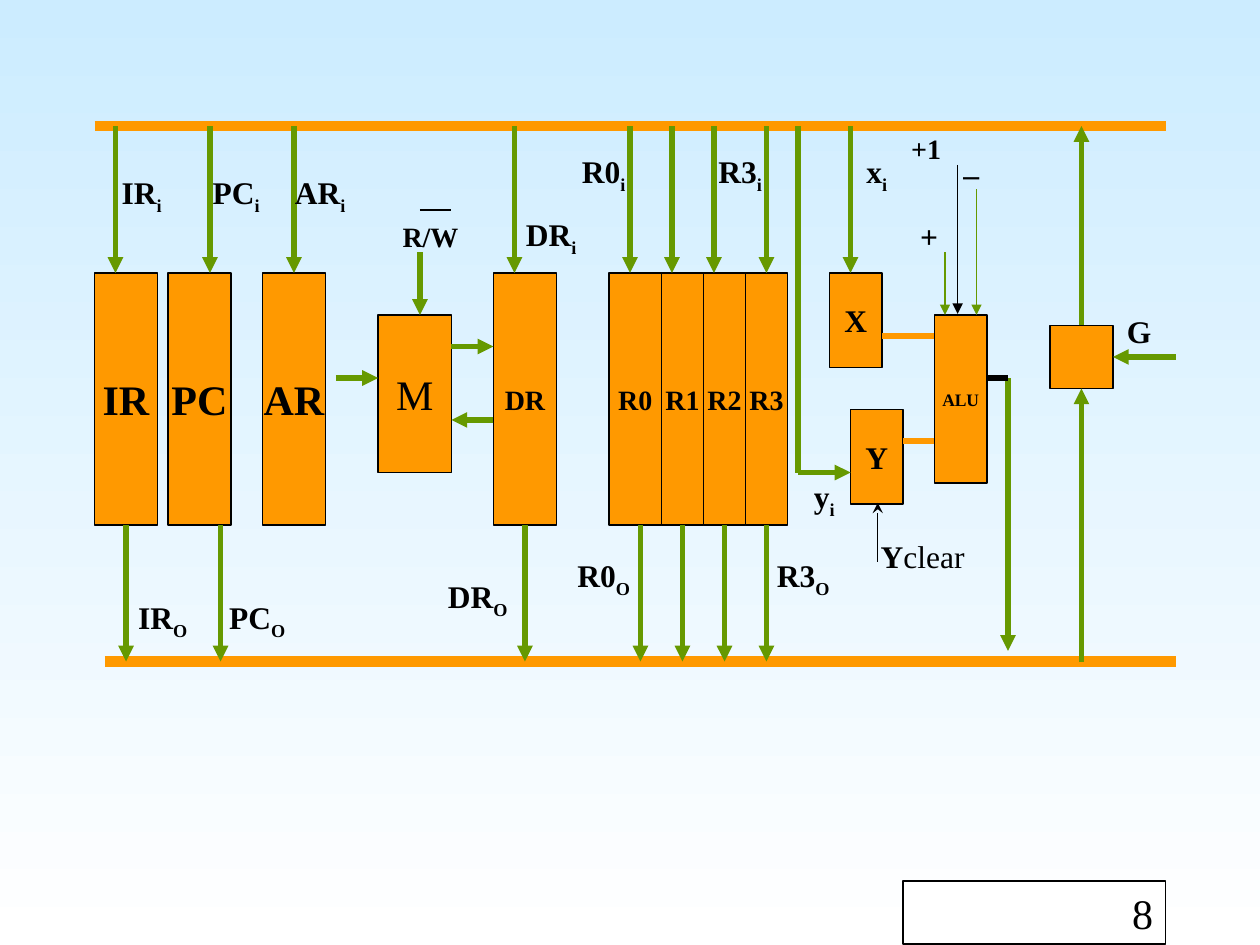
"""Draw a CPU datapath with registers, memory and ALU between two buses."""
from lxml.etree import SubElement
from pptx import Presentation
from pptx.dml.color import RGBColor
from pptx.enum.shapes import MSO_CONNECTOR as CONN, MSO_SHAPE as SHAPE
from pptx.enum.text import MSO_ANCHOR as ANCHOR, PP_ALIGN as ALIGN
from pptx.oxml.ns import qn
from pptx.util import Cm, Pt

ORANGE = RGBColor(0xFF, 0x99, 0x00)
GREEN = RGBColor(0x66, 0x99, 0x00)
BLACK = RGBColor(0x00, 0x00, 0x00)
WHITE = RGBColor(0xFF, 0xFF, 0xFF)
SKY = RGBColor(0xCC, 0xEC, 0xFF)
GRID = 2.54 / 12
IN_TOP, REG_TOP, REG_BOTTOM, OUT_BUS = 12, 26, 50, 63

prs = Presentation()
prs.slide_width, prs.slide_height = Cm(25.4), Cm(19.05)
s = prs.slides.add_slide(prs.slide_layouts[6])
fill = s.background.fill
fill.gradient()
fill.gradient_angle = 270
for stop, color in zip(fill.gradient_stops, (SKY, WHITE)):
    stop.color.rgb = color


def add_line(x1, y1, x2, y2, color=GREEN, width=3, end="triangle"):
    c = s.shapes.add_connector(CONN.STRAIGHT, *[Cm(v * GRID) for v in (x1, y1, x2, y2)])
    c.line.color.rgb = color
    c.line.width = Pt(width)
    if end:
        SubElement(c.line._get_or_add_ln(), qn("a:tailEnd"), type=end)
    SubElement(c._element.spPr, qn("a:effectLst"))


def add_text(sp, runs, size, align=ALIGN.CENTER, anchor=ANCHOR.MIDDLE, wrap=False):
    tf = sp.text_frame
    tf.word_wrap = wrap
    tf.vertical_anchor = anchor
    if not wrap:
        tf.margin_left = tf.margin_right = Cm(0)
    p = tf.paragraphs[0]
    p.alignment = align
    for text, bold, baseline in runs:
        r = p.add_run()
        r.text = text
        r.font.name = "Times New Roman"
        r.font.size = Pt(size)
        r.font.bold = bold
        r.font.color.rgb = BLACK
        if baseline:
            r._r.get_or_add_rPr().set("baseline", str(baseline))


add_line(9, IN_TOP, 111, IN_TOP, ORANGE, 6, None)
add_line(10, OUT_BUS, 112, OUT_BUS, ORANGE, 6, None)

boxes = [
    ("IR", 9, 26, 6, 24, 24), ("PC", 16, 26, 6, 24, 24), ("AR", 25, 26, 6, 24, 24),
    ("M", 36, 30, 7, 15, 24), ("DR", 47, 26, 6, 24, 16),
    ("R0", 58, 26, 5, 24, 16), ("R1", 63, 26, 4, 24, 16),
    ("R2", 67, 26, 4, 24, 16), ("R3", 71, 26, 4, 24, 16),
    ("X", 79, 26, 5, 9, 18), ("Y", 81, 39, 5, 9, 18), ("ALU", 89, 30, 5, 16, 10),
    ("", 100, 31, 6, 6, 18), ("8", 86, 83.9, 25, 6, 24),
]
for name, x, y, w, h, size in boxes:
    sp = s.shapes.add_shape(SHAPE.RECTANGLE, *[Cm(v * GRID) for v in (x, y, w, h)])
    sp.shadow.inherit = False
    sp.fill.solid()
    sp.fill.fore_color.rgb = WHITE if name == "8" else ORANGE
    sp.line.color.rgb = BLACK
    sp.line.width = Pt(0.75)
    if name == "8":
        add_text(sp, [(name, False, 0)], size, ALIGN.RIGHT, ANCHOR.TOP, True)
    elif name:
        add_text(sp, [(name, name != "M", 0)], size)

for x in (11, 20, 28, 49, 60, 64, 68, 73, 81):
    add_line(x, IN_TOP, x, REG_TOP)
for x in (12, 21, 50, 61, 65, 69, 73):
    add_line(x, REG_BOTTOM, x, OUT_BUS)

for ends in [
    (32, 36, 36, 36), (40, 24, 40, 30), (43, 33, 47, 33), (47, 40, 43, 40),
    (76, 45, 81, 45), (96, 36, 96, 62), (112, 34, 106, 34),
    (103, 63, 103, 37), (103, 31, 103, 12),
]:
    add_line(*ends)
add_line(76, IN_TOP, 76, 45, end=None)
add_line(94, 36, 96, 36, BLACK, end=None)
add_line(40, 20, 43, 20, BLACK, 1.5, None)
for x, y in ((84, 32), (86, 42)):
    add_line(x, y, 89, y, ORANGE, end=None)
for x, y in ((90, 24), (93, 18)):
    add_line(x, y, x, 30, width=0.75)
add_line(91.2, 15.7, 91.2, 29.9, BLACK, 0.75)
add_line(83.6, 53.5, 83.6, 47.9, BLACK, 0.75, "stealth")

labels = [
    ("IR", "O", 12, 56, 6), ("PC", "O", 21, 56, 6), ("DR", "O", 42, 54, 6),
    ("R0", "O", 54, 52, 6), ("R3", "O", 73, 52, 6),
    ("IR", "i", 10, 16, 5), ("PC", "i", 19, 16, 5), ("AR", "i", 27, 16, 5),
    ("DR", "i", 49, 20, 5), ("R0", "i", 54, 14, 5), ("R3", "i", 67, 14, 5),
    ("x", "i", 80, 14, 5), ("y", "i", 75, 45, 5),
    ("+", "", 85, 20, 5), ("_", "", 89, 13, 5), ("G", "", 105, 29, 5),
]
for name, sub, x, y, h in labels:
    sp = s.shapes.add_textbox(*[Cm(v * GRID) for v in (x, y, 7, h)])
    runs = [(name, True, 0)]
    if sub:
        runs.append((sub, True, -25000))
    add_text(sp, runs, 18)

sp = s.shapes.add_textbox(*[Cm(v * GRID) for v in (35, 19, 12, 7)])
add_text(sp, [("R/W", True, 0)], 16)
sp = s.shapes.add_textbox(*[Cm(v * GRID) for v in (82.7, 50.6, 11.3, 4.8)])
add_text(sp, [("Y", True, 0), ("clear", False, 0)], 18, ALIGN.LEFT, ANCHOR.TOP, True)
sp = s.shapes.add_textbox(*[Cm(v * GRID) for v in (85.6, 11.9, 7.5, 4.4)])
add_text(sp, [("+1", True, 0)], 16, ALIGN.LEFT, ANCHOR.TOP, True)

prs.save("out.pptx")
